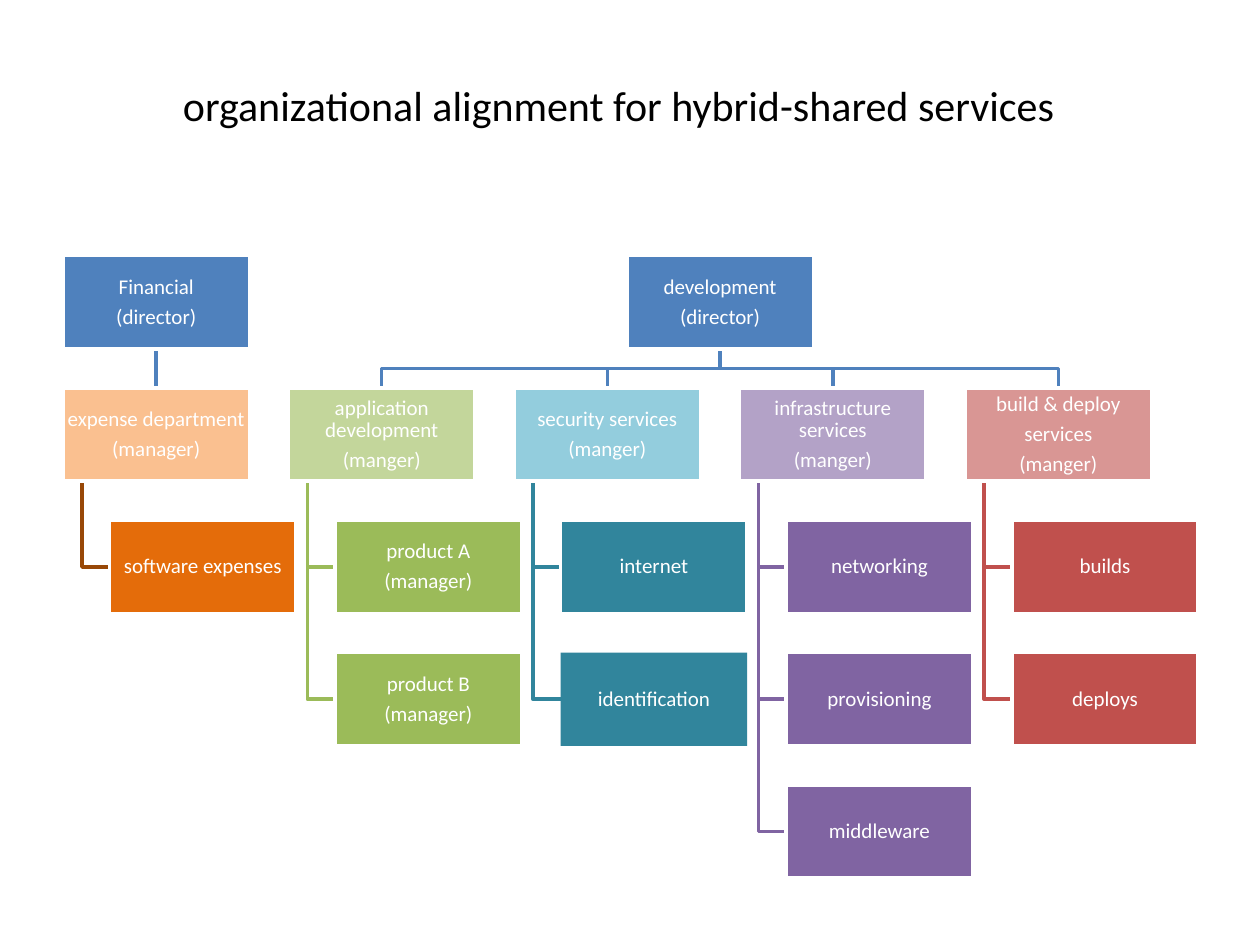
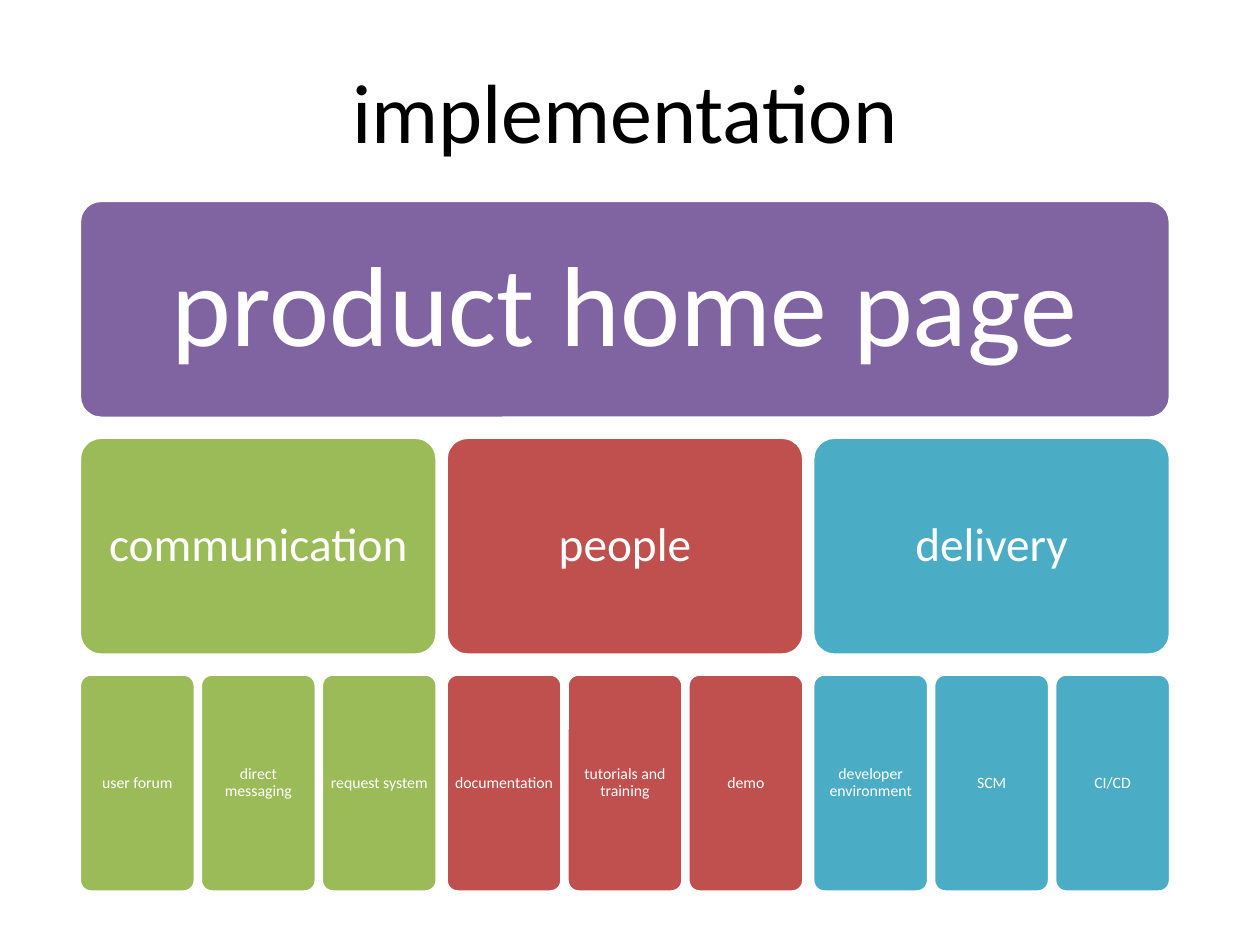
from lxml import etree
from pptx import Presentation
from pptx.dml.color import RGBColor
from pptx.enum import shapes, text
from pptx.oxml.ns import qn
from pptx.util import Inches, Pt

FONT = "Calibri"
WHITE = RGBColor(0xFF, 0xFF, 0xFF)
BLACK = RGBColor(0x00, 0x00, 0x00)
BLUE = RGBColor(0x4F, 0x81, 0xBD)
BROWN = RGBColor(0x98, 0x48, 0x07)
ORANGE = RGBColor(0xE4, 0x6C, 0x0A)
PEACH = RGBColor(0xFA, 0xC0, 0x90)
GREEN = RGBColor(0x9B, 0xBB, 0x59)
PALE_GREEN = RGBColor(0xC3, 0xD6, 0x9B)
TEAL = RGBColor(0x31, 0x85, 0x9C)
PALE_TEAL = RGBColor(0x93, 0xCD, 0xDD)
AQUA = RGBColor(0x4B, 0xAC, 0xC6)
PURPLE = RGBColor(0x80, 0x64, 0xA2)
PALE_PURPLE = RGBColor(0xB3, 0xA2, 0xC7)
RED = RGBColor(0xC0, 0x50, 0x4D)
PALE_RED = RGBColor(0xD9, 0x96, 0x94)

# Each department: lines of its label, its fill, its teams' fill, branch colour, teams
DEPARTMENTS = [
    (["expense department", "(manager)"], PEACH, ORANGE, BROWN,
     [["software expenses"]]),
    (["application development", "(manger)"], PALE_GREEN, GREEN, GREEN,
     [["product A", "(manager)"], ["product B", "(manager)"]]),
    (["security services", "(manger)"], PALE_TEAL, TEAL, TEAL,
     [["internet"], ["identification"]]),
    (["infrastructure services", "(manger)"], PALE_PURPLE, PURPLE, PURPLE,
     [["networking"], ["provisioning"], ["middleware"]]),
    (["build & deploy", "services", "(manger)"], PALE_RED, RED, RED,
     [["builds"], ["deploys"]]),
]
FINANCIAL = ["Financial", "(director)"]
DEVELOPMENT = ["development", "(director)"]
BORDERLESS = ["identification"]

HOME_PAGE = "product home page"
AREAS = [
    ("communication", GREEN, ["user forum", "direct messaging", "request system"]),
    ("people", RED, ["documentation", "tutorials and training", "demo"]),
    ("delivery", AQUA, ["developer environment", "SCM", "CI/CD"]),
]

# Organization chart grid
ORG_LEFT, ORG_TOP = 0.5, 2.03
ORG_WIDTH, ORG_HEIGHT = 1.48, 0.74
COLUMN_STEP, LEVEL_STEP = 1.79, 1.05
TEAM_INDENT, TRUNK_INDENT = 0.37, 0.15

# Implementation grid
AREA_LEFT, AREA_TOP = 0.63, 1.59
AREA_WIDTH, TILE_HEIGHT = 2.84, 1.73
AREA_GAP, TOPIC_GAP, TIER_STEP = 0.07, 0.04, 1.88


def add_page(deck, title, size, left, top, width, height):
    page = deck.slides.add_slide(deck.slide_layouts[5])
    box = page.shapes.title
    box.left, box.top = Inches(left), Inches(top)
    box.width, box.height = Inches(width), Inches(height)
    frame = box.text_frame
    frame.vertical_anchor = text.MSO_ANCHOR.TOP
    frame.auto_size = text.MSO_AUTO_SIZE.NONE
    write(frame, [title], size, BLACK)
    return page


def write(frame, lines, size, color):
    frame.word_wrap = True
    for index, line in enumerate(lines):
        para = frame.add_paragraph() if index else frame.paragraphs[0]
        para.alignment = text.PP_ALIGN.CENTER
        span = para.add_run()
        span.text = line
        span.font.name, span.font.size = FONT, Pt(size)
        span.font.color.rgb = color


def add_tile(page, kind, left, top, width, height, lines, size, fill, inset,
             border=True):
    box = page.shapes.add_shape(kind, Inches(left), Inches(top),
                                Inches(width), Inches(height))
    box.shadow.inherit = False
    box.fill.solid()
    box.fill.fore_color.rgb = fill
    if border:
        box.line.color.rgb, box.line.width = WHITE, Pt(2)
    else:
        box.line.fill.background()
    if len(box.adjustments):
        box.adjustments[0] = 0.1
    frame = box.text_frame
    frame.margin_left = frame.margin_right = Inches(inset)
    frame.margin_top = frame.margin_bottom = Inches(inset)
    frame.vertical_anchor = text.MSO_ANCHOR.MIDDLE
    write(frame, lines, size, WHITE)
    for para in frame.paragraphs:
        para.line_spacing = 0.9
        para.space_after = Pt(round(0.35 * size, 1))


def add_org_box(page, left, level, lines, fill):
    add_tile(page, shapes.MSO_SHAPE.RECTANGLE, left, level_top(level),
             ORG_WIDTH, ORG_HEIGHT, lines, 12, fill, 0.01,
             border=lines != BORDERLESS)


def level_top(level):
    return ORG_TOP + level * LEVEL_STEP


def add_branch(page, points, color):
    """Draw an open bent line through the points."""
    start, *rest = [(Inches(x), Inches(y)) for x, y in points]
    builder = page.shapes.build_freeform(*start)
    builder.add_line_segments(rest, close=False)
    branch = builder.convert_to_shape()
    branch.shadow.inherit = False
    branch.fill.background()
    branch.line.color.rgb, branch.line.width = color, Pt(2)


def add_drop(page, x, top, bottom, color):
    """Draw a straight vertical line."""
    drop = page.shapes.add_connector(shapes.MSO_CONNECTOR.STRAIGHT, Inches(x),
                                     Inches(top), Inches(x), Inches(bottom))
    drop.line.color.rgb, drop.line.width = color, Pt(2)
    etree.SubElement(drop._element.spPr, qn("a:effectLst"))


def build_organization(deck):
    page = add_page(deck, "organizational alignment for hybrid-shared services",
                    24, 0.42, 0.58, 8.98, 0.5)
    columns = [ORG_LEFT + i * COLUMN_STEP for i in range(len(DEPARTMENTS))]
    development_left = (columns[1] + columns[-1]) / 2
    half = ORG_WIDTH / 2
    director_bottom = ORG_TOP + ORG_HEIGHT
    department_top = level_top(1)
    middle = (director_bottom + department_top) / 2
    center = development_left + half

    add_drop(page, columns[0] + half, director_bottom, department_top, BLUE)
    for left in columns[1:]:
        add_branch(page, [(center, director_bottom), (center, middle),
                          (left + half, middle), (left + half, department_top)],
                   BLUE)
    for left, (_, _, _, color, teams) in zip(columns, DEPARTMENTS):
        trunk = left + TRUNK_INDENT
        for level in range(2, 2 + len(teams)):
            y = level_top(level) + ORG_HEIGHT / 2
            add_branch(page, [(trunk, department_top + ORG_HEIGHT), (trunk, y),
                              (left + TEAM_INDENT, y)], color)

    add_org_box(page, columns[0], 0, FINANCIAL, BLUE)
    add_org_box(page, development_left, 0, DEVELOPMENT, BLUE)
    for left, (lines, fill, team_fill, _, teams) in zip(columns, DEPARTMENTS):
        add_org_box(page, left, 1, lines, fill)
        for level, team in enumerate(teams, 2):
            add_org_box(page, left + TEAM_INDENT, level, team, team_fill)


def build_implementation(deck):
    page = add_page(deck, "implementation", 48, 0.5, 0.42, 8.92, 0.91)

    def add_rounded(left, tier, width, label, size, fill, inset):
        add_tile(page, shapes.MSO_SHAPE.ROUNDED_RECTANGLE, left,
                 AREA_TOP + tier * TIER_STEP, width, TILE_HEIGHT, [label],
                 size, fill, inset)

    count = len(AREAS)
    full_width = count * AREA_WIDTH + (count - 1) * AREA_GAP
    add_rounded(AREA_LEFT, 0, full_width, HOME_PAGE, 65, PURPLE, 0.27)
    for index, (area, fill, topics) in enumerate(AREAS):
        left = AREA_LEFT + index * (AREA_WIDTH + AREA_GAP)
        add_rounded(left, 1, AREA_WIDTH, area, 27, fill, 0.11)
        step = (AREA_WIDTH + TOPIC_GAP) / len(topics)
        for place, topic in enumerate(topics):
            add_rounded(left + place * step, 2, step - TOPIC_GAP, topic, 9,
                        fill, 0.04)


def main():
    deck = Presentation()
    deck.slide_width, deck.slide_height = Inches(10), Inches(7.5)
    build_organization(deck)
    build_implementation(deck)
    deck.save("out.pptx")


if __name__ == "__main__":
    main()
